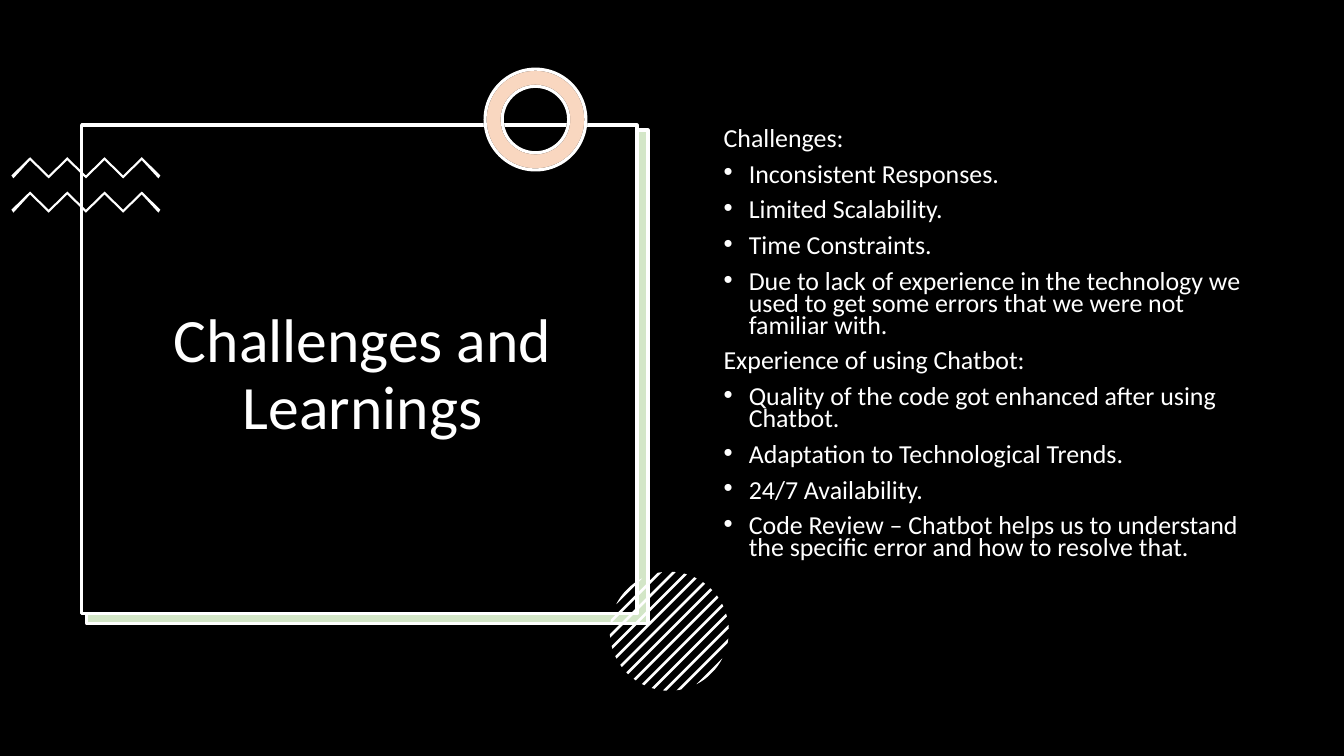
"""Build the Challenges and Learnings slide."""
from dataclasses import dataclass
from math import acos, cos, pi, sin

from lxml.etree import SubElement
from pptx import Presentation
from pptx.dml.color import RGBColor
from pptx.enum.shapes import MSO_SHAPE
from pptx.enum.text import MSO_ANCHOR, PP_ALIGN
from pptx.oxml.ns import qn
from pptx.util import Pt


@dataclass(frozen=True)
class Theme:
    black: str = "000000"
    white: str = "FFFFFF"
    green: str = "70AD47"
    orange: str = "ED7D31"
    font: str = "Calibri"
    title_size: float = 44
    body_size: float = 18.5
    line_width: float = 2.25


theme = Theme()
deck = Presentation()
deck.slide_width, deck.slide_height = Pt(960), Pt(540)
page = deck.slides.add_slide(deck.slide_layouts[6])


def paint(shape, fill, line=None, opacity=100):
    shape.shadow.inherit = False
    shape.fill.solid()
    shape.fill.fore_color.rgb = RGBColor.from_string(fill)
    if opacity < 100:
        color = shape.fill._xPr.find(qn("a:solidFill"))[0]
        SubElement(color, qn("a:alpha"), val=str(opacity * 1000))
    if line:
        shape.line.color.rgb = RGBColor.from_string(line)
        shape.line.width = Pt(theme.line_width)
    else:
        shape.line.fill.background()


def draw_outline(points):
    corners = [(Pt(x), Pt(y)) for x, y in points]
    builder = page.shapes.build_freeform(*corners[0])
    builder.add_line_segments(corners[1:], close=True)
    paint(builder.convert_to_shape(), theme.white)


panels = [
    (0, 0, 960, 540, theme.black, None, 100),
    (61.2, 93.6, 401, 352.8, theme.white, None, 100),
    (61.9, 92.9, 401, 352.8, theme.green, theme.white, 30),
    (58.3, 89.3, 396.7, 349.2, theme.black, theme.white, 100),
]
for left, top, width, height, fill, line, opacity in panels:
    panel = page.shapes.add_shape(
        MSO_SHAPE.RECTANGLE, Pt(left), Pt(top), Pt(width), Pt(height))
    paint(panel, fill, line, opacity)

zigzag_left, zigzag_step = 8.2, 13.3
for zigzag_top in (112.3, 136.8):
    upper = [(zigzag_left + i * zigzag_step, zigzag_top + (0 if i % 2 else 13))
             for i in range(9)]
    lower = [(x, y + 2.1) for x, y in upper]
    lower[0] = (lower[0][0] + 1.4, lower[0][1])
    lower[-1] = (lower[-1][0] - 1.4, lower[-1][1])
    draw_outline(upper + lower[::-1])

for fill, line, opacity in ((theme.white, theme.black, 100),
                            (theme.orange, theme.white, 30)):
    ring = page.shapes.add_shape(
        MSO_SHAPE.DONUT, Pt(346.5), Pt(49.4), Pt(72), Pt(72))
    ring.adjustments[0] = 0.17
    paint(ring, fill, line, opacity)

center_x, center_y, radius = 478.1, 450.9, 42.5
stripe_pitch, stripe_half, arc_steps = 6.9, 0.95, 6
for i in range(-6, 7):
    near = acos((i * stripe_pitch - stripe_half) / radius)
    far = acos((i * stripe_pitch + stripe_half) / radius)
    arc = [near + (far - near) * step / arc_steps for step in range(arc_steps + 1)]
    angles = [pi / 4 + a for a in arc] + [pi / 4 - a for a in reversed(arc)]
    draw_outline([(center_x + radius * cos(a), center_y + radius * sin(a))
                  for a in angles])

title_box = page.shapes.add_textbox(Pt(66.2), Pt(109.4), Pt(385.9), Pt(318.2))
title_box.text_frame.text = "Challenges and Learnings"
title_box.text_frame.vertical_anchor = MSO_ANCHOR.MIDDLE
title_para = title_box.text_frame.paragraphs[0]
title_para.alignment = PP_ALIGN.CENTER
title_para.line_spacing = 0.9

sections = {
    "Challenges:": [
        "Inconsistent Responses.",
        "Limited Scalability.",
        "Time Constraints.",
        "Due to lack of experience in the technology we used to get some "
        "errors that we were not familiar with.",
    ],
    "Experience of using Chatbot:": [
        "Quality of the code got enhanced after using Chatbot.",
        "Adaptation to Technological Trends.",
        "24/7 Availability.",
        "Code Review – Chatbot helps us to understand the specific error "
        "and how to resolve that.",
    ],
}
lines = [text for heading, items in sections.items() for text in (heading, *items)]
body_box = page.shapes.add_textbox(Pt(509.8), Pt(89.3), Pt(391.7), Pt(342.7))
body_box.text_frame.text = "\n".join(lines)
for para in body_box.text_frame.paragraphs:
    para.line_spacing = 0.7
    para.space_before = Pt(10)
    if para.text not in sections:
        properties = para._p.get_or_add_pPr()
        properties.set("marL", str(Pt(18)))
        properties.set("indent", str(Pt(-18)))
        SubElement(properties, qn("a:buFont"), typeface="Arial")
        SubElement(properties, qn("a:buChar"), char="•")

for box, size in ((title_box, theme.title_size), (body_box, theme.body_size)):
    box.text_frame.word_wrap = True
    for para in box.text_frame.paragraphs:
        for span in para.runs:
            span.font.name = theme.font
            span.font.size = Pt(size)
            span.font.color.rgb = RGBColor.from_string(theme.white)

deck.save("out.pptx")
